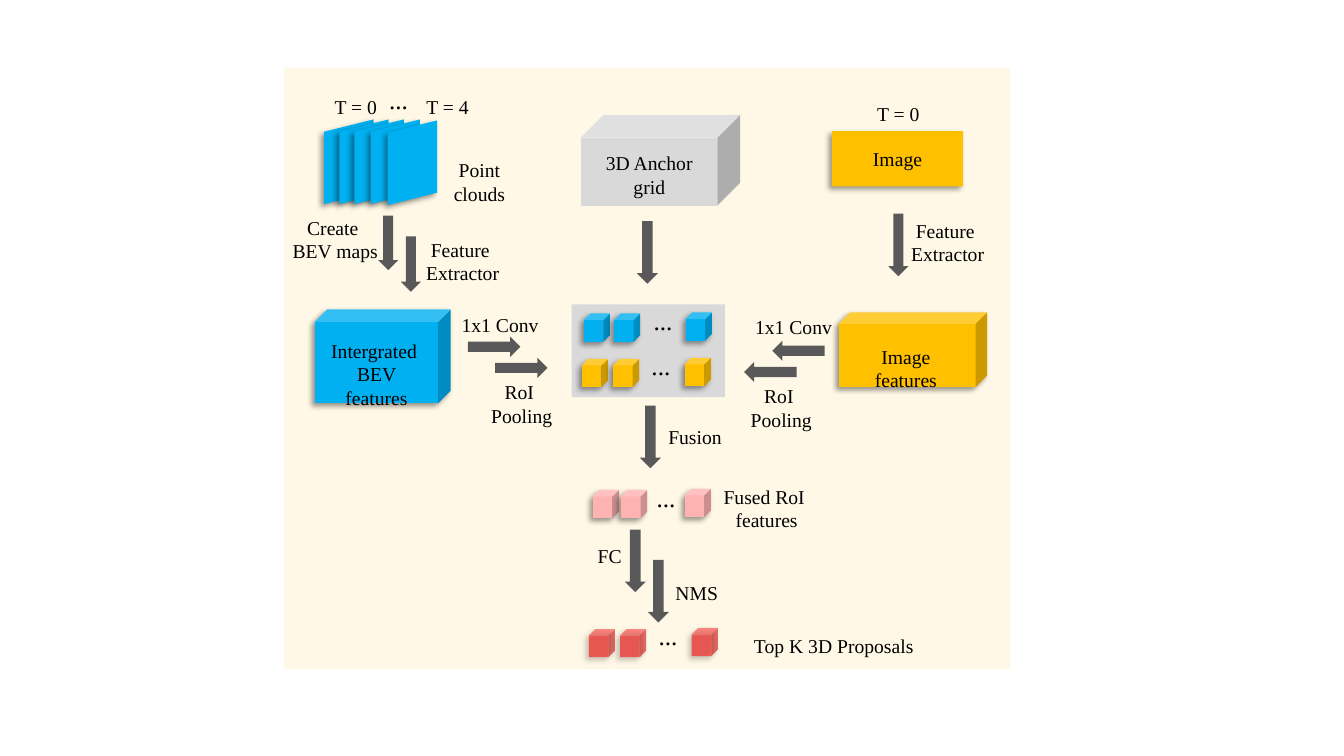
from lxml import etree
from pptx import Presentation
from pptx.dml.color import RGBColor
from pptx.enum import shapes, text
from pptx.oxml import ns
from pptx.util import Inches, Pt

CREAM = RGBColor(0xFF, 0xF2, 0xCC)
BLUE = RGBColor(0x00, 0xB0, 0xF0)
AMBER = RGBColor(0xFF, 0xC0, 0x00)
LIGHT_GRAY = RGBColor(0xD9, 0xD9, 0xD9)
DARK_GRAY = RGBColor(0x59, 0x59, 0x59)
PINK = RGBColor(0xFF, 0xB2, 0xB2)
RED = RGBColor(0xFF, 0x00, 0x00)
BLACK = RGBColor(0x00, 0x00, 0x00)

RECTANGLE = shapes.MSO_SHAPE.RECTANGLE
CUBE = shapes.MSO_SHAPE.CUBE
ARROW = shapes.MSO_SHAPE.RIGHT_ARROW
SHEET = shapes.MSO_SHAPE.PARALLELOGRAM

presentation = Presentation()
presentation.slide_width = Inches(13.33)
presentation.slide_height = Inches(7.5)
slide = presentation.slides.add_slide(presentation.slide_layouts[6])


def add_block(kind, left, top, width, height, color, shadow=False, opacity=100, rotation=0):
    shape = slide.shapes.add_shape(kind, Inches(left), Inches(top), Inches(width), Inches(height))
    shape.rotation = rotation
    shape.fill.solid()
    shape.fill.fore_color.rgb = color
    shape.line.fill.background()
    shape.shadow.inherit = False
    properties = shape._element.spPr
    if opacity < 100:
        tone = properties.find(".//" + ns.qn("a:srgbClr"))
        etree.SubElement(tone, ns.qn("a:alpha"), val=str(opacity * 1000))
    if shadow:
        effects = properties.find(ns.qn("a:effectLst"))
        outer = etree.SubElement(effects, ns.qn("a:outerShdw"), blurRad=str(Pt(4)), dist=str(Pt(3)),
                                 dir=str(135 * 60000), algn="tr", rotWithShape="0")
        tone = etree.SubElement(outer, ns.qn("a:srgbClr"), val="000000")
        etree.SubElement(tone, ns.qn("a:alpha"), val="40000")
    return shape


def add_label(left, top, width, height, lines, centered=True, size=14, inset=0.02):
    box = slide.shapes.add_textbox(Inches(left), Inches(top), Inches(width), Inches(height))
    frame = box.text_frame
    frame.word_wrap = True
    # Left-aligned labels start 0.1 inch in and may run to the right edge
    frame.margin_left = Inches(inset if centered else 0.1)
    frame.margin_right = Inches(inset if centered else 0)
    for index, line in enumerate(lines):
        paragraph = frame.paragraphs[0] if index == 0 else frame.add_paragraph()
        paragraph.alignment = text.PP_ALIGN.CENTER if centered else text.PP_ALIGN.LEFT
        run = paragraph.add_run()
        run.text = line
        run.font.name = "Times New Roman"
        run.font.size = Pt(size)
        run.font.color.rgb = BLACK


# Background panel
add_block(RECTANGLE, 2.82, 0.67, 7.2, 5.97, CREAM, opacity=49)

# Stack of point cloud sheets
for left, top in [(3.04, 1.36), (3.19, 1.36), (3.34, 1.36), (3.5, 1.36), (3.67, 1.37)]:
    sheet = add_block(SHEET, left, top, 0.84, 0.49, BLUE, shadow=True, rotation=90)
    sheet._element.spPr.xfrm.set("flipV", "1")

# Input image, anchor grid and feature volumes
add_block(RECTANGLE, 8.25, 1.3, 1.3, 0.55, AMBER, shadow=True)
add_block(CUBE, 5.76, 1.14, 1.58, 0.9, LIGHT_GRAY)
add_block(RECTANGLE, 5.78, 1.45, 1.32, 0.57, LIGHT_GRAY)
bev_features = add_block(CUBE, 3.12, 3.07, 1.35, 0.93, BLUE, shadow=True)
bev_features.adjustments[0] = 0.134
image_features = add_block(CUBE, 8.32, 3.1, 1.47, 0.74, AMBER, shadow=True)
image_features.adjustments[0] = 0.153

# Rows of small RoI cubes: lefts of the three cubes, top, ellipsis position
add_block(RECTANGLE, 5.67, 3.02, 1.52, 0.92, LIGHT_GRAY)
cube_rows = [
    ((5.79, 6.09, 6.8), 3.11, 6.37, 2.98, 0.41, BLUE, 100),
    ((5.77, 6.08, 6.79), 3.56, 6.35, 3.43, 0.41, AMBER, 100),
    ((5.88, 6.16, 6.79), 4.86, 6.41, 4.74, 0.39, PINK, 100),
    ((5.84, 6.15, 6.86), 6.24, 6.43, 6.11, 0.39, RED, 55),
]
for lefts, top, dots_left, dots_top, dots_width, color, opacity in cube_rows:
    for left, rise in zip(lefts, (0, 0, 0.01)):
        add_block(CUBE, left, top - rise, 0.26, 0.28, color, shadow=True, opacity=opacity)
    add_label(dots_left, dots_top, dots_width, 0.4, ["..."], size=18)

# Arrows: left, top, length, thickness, rotation
arrows = [
    (3.58, 2.31, 0.54, 0.2, 90), (3.8, 2.52, 0.55, 0.2, 90),
    (8.6, 2.33, 0.62, 0.2, 90), (6.11, 2.4, 0.62, 0.21, 90),
    (6.14, 4.23, 0.62, 0.21, 90), (5.99, 5.46, 0.62, 0.21, 90),
    (6.22, 5.76, 0.62, 0.21, 90),
    (4.64, 3.34, 0.52, 0.2, 0), (4.91, 3.55, 0.52, 0.2, 0),
    (7.66, 3.38, 0.52, 0.2, 180), (7.38, 3.59, 0.52, 0.2, 180),
]
for left, top, length, thickness, rotation in arrows:
    add_block(ARROW, left, top, length, thickness, DARK_GRAY, rotation=rotation)

# Single-line labels
single_labels = [
    (3.22, 0.89, 0.64, "T = 0"), (4.13, 0.89, 0.62, "T = 4"), (8.6, 0.96, 0.62, "T = 0"),
    (8.56, 1.41, 0.69, "Image"), (4.48, 3.06, 0.96, "1x1 Conv"), (7.39, 3.08, 0.96, "1x1 Conv"),
    (6.53, 4.17, 0.73, "Fusion"), (5.83, 5.35, 0.44, "FC"), (6.6, 5.71, 0.62, "NMS"),
    (7.38, 6.24, 2.17, "Top K 3D Proposals"),
]
for left, top, width, label in single_labels:
    add_label(left, top, width, 0.34, [label], centered=False)
add_label(3.76, 0.79, 0.39, 0.4, ["..."], centered=False, size=18)

# Two-line labels
double_labels = [
    (4.4, 1.52, 0.76, ["Point ", "clouds "]),
    (2.8, 2.09, 1.05, ["Create ", "BEV maps"]),
    (4.08, 2.31, 0.97, ["Feature", " Extractor"]),
    (8.89, 2.12, 0.97, ["Feature", " Extractor"]),
    (5.78, 1.45, 1.32, ["3D Anchor", "grid"]),
    (4.77, 3.72, 0.81, ["RoI ", "Pooling"]),
    (7.3, 3.76, 0.85, ["RoI", " Pooling"]),
    (7.08, 4.76, 1, ["Fused RoI", " features"]),
]
for left, top, width, lines in double_labels:
    add_label(left, top, width, 0.57, lines)

# Wrapped labels on the feature volumes
add_label(3.11, 3.31, 1.25, 0.57, ["Intergrated ", "BEV features"], inset=0.16)
add_label(8.31, 3.37, 1.35, 0.34, ["Image features"], inset=0.28)

presentation.save("out.pptx")
